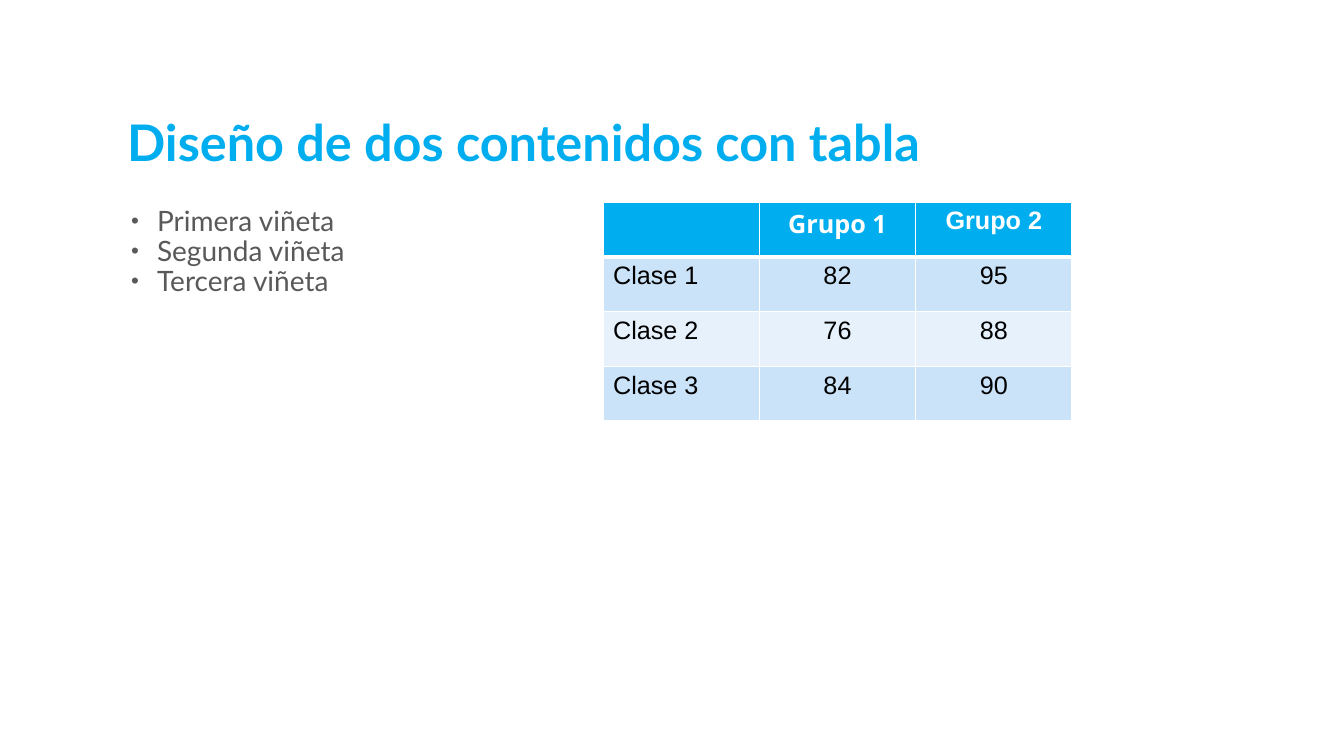
from lxml import etree
from pptx import Presentation
from pptx.dml.color import RGBColor
from pptx.enum.text import MSO_ANCHOR, MSO_AUTO_SIZE, PP_ALIGN
from pptx.oxml.ns import qn
from pptx.util import Emu, Pt

LEFT, CENTER = PP_ALIGN.LEFT, PP_ALIGN.CENTER
TOP, BOTTOM = MSO_ANCHOR.TOP, MSO_ANCHOR.BOTTOM
NO_FIT = MSO_AUTO_SIZE.NONE
EMU_PER_PIXEL = 914400 / 100.8
CYAN, GRAY, WHITE, BLACK = "00AEEF", "595959", "FFFFFF", "000000"
BANDS = ("CAE3F9", "E6F1FC")
THIN, THICK = 0.96, 3

TITLE_FONT = {"name": "Lato", "size": Pt(36), "bold": True}
LIST_FONT = {"name": "Lato", "size": Pt(20), "bold": False}
HEADER_FONT = {"name": "Arial", "size": Pt(18), "bold": True}
CELL_FONT = {**HEADER_FONT, "bold": False}

BULLETS = ("Primera viñeta", "Segunda viñeta", "Tercera viñeta")
SCORES = (
    ("", "Grupo 1", "Grupo 2"),
    ("Clase 1", "82", "95"),
    ("Clase 2", "76", "88"),
    ("Clase 3", "84", "90"),
)


def px(length):
    """Turn picture pixels into EMU."""
    return Emu(round(length * EMU_PER_PIXEL))


def color(value):
    """Turn a hex string into a colour."""
    return RGBColor.from_string(value)


def assign(target, values):
    """Set attributes from a dict of format values."""
    for name, value in values.items():
        setattr(target, name, value)


def add_xml(parent, tag, **attributes):
    """Append a DrawingML element and return it."""
    return etree.SubElement(parent, qn(tag), attributes)


class SlideBuilder:
    """Hold the style and the current slide."""

    def __init__(self, deck):
        """Add a title and content slide."""
        self.slide = deck.slides.add_slide(deck.slide_layouts[1])

    def add_text(self, para, text, font, ink, layout):
        """Put one formatted run into a paragraph."""
        assign(para, layout)
        span = para.add_run()
        span.text = text
        assign(span.font, font)
        span.font.color.rgb = color(ink)

    def place(self, box, area, anchor):
        """Move a placeholder and set up its text frame."""
        names = ("left", "top", "width", "height")
        assign(box, dict(zip(names, map(px, area))))
        frame = box.text_frame
        assign(frame, {"word_wrap": True, "auto_size": NO_FIT,
                       "vertical_anchor": anchor})
        return frame

    def title(self, text, area):
        """Fill the title placeholder."""
        frame = self.place(self.slide.shapes.title, area, BOTTOM)
        self.add_text(frame.paragraphs[0], text, TITLE_FONT, CYAN,
                      {"alignment": LEFT, "line_spacing": 0.8})

    def bullets(self, lines, area):
        """Fill the body placeholder with a bulleted list."""
        frame = self.place(self.slide.placeholders[1], area, TOP)
        layout = {"alignment": LEFT, "line_spacing": 0.9,
                  "space_before": Pt(0), "space_after": Pt(0)}
        for index, line in enumerate(lines):
            para = frame.add_paragraph() if index else frame.paragraphs[0]
            self.add_text(para, line, LIST_FONT, GRAY, layout)
            self.bullet(para)

    def bullet(self, para):
        """Give a paragraph a hanging round bullet."""
        props = para._p.get_or_add_pPr()
        props.set("marL", str(px(30)))
        props.set("indent", str(px(-26)))
        add_xml(add_xml(props, "a:buClr"), "a:srgbClr", val=GRAY)
        add_xml(props, "a:buSzPct", val="80000")
        add_xml(props, "a:buFont", typeface="Arial")
        add_xml(props, "a:buChar", char="•")

    def borders(self, cell, widths):
        """Draw the left, right, top and bottom borders of a cell."""
        props = cell._tc.get_or_add_tcPr()
        for index, (side, width) in enumerate(zip("LRTB", widths)):
            line = add_xml(props, f"a:ln{side}", w=str(Pt(width)))
            add_xml(add_xml(line, "a:solidFill"), "a:srgbClr", val=WHITE)
            props.insert(index, line)

    def table(self, rows, area):
        """Add a table with a header row and banded body rows."""
        table = self.slide.shapes.add_table(
            len(rows), len(rows[0]), *map(px, area)).table
        table.horz_banding = False
        for row, values in enumerate(rows):
            for column, text in enumerate(values):
                cell = table.cell(row, column)
                cell.fill.solid()
                fill = BANDS[(row - 1) % 2] if row else CYAN
                cell.fill.fore_color.rgb = color(fill)
                self.borders(cell, (THIN, THIN,
                                    THICK if row == 1 else THIN,
                                    THIN if row else THICK))
                if text:
                    self.add_text(cell.text_frame.paragraphs[0], text,
                                  CELL_FONT if row else HEADER_FONT,
                                  BLACK if row else WHITE,
                                  {"alignment": CENTER if column else LEFT})
        first_group = table.cell(0, 1).text_frame.paragraphs[0]
        first_group.runs[0].font.name = "Open Sans"


def main():
    """Build and save the slide."""
    deck = Presentation()
    assign(deck, {"slide_width": px(1344), "slide_height": px(756)})
    page = SlideBuilder(deck)
    page.title("Diseño de dos contenidos con tabla", (117, 58, 958, 118))
    page.bullets(BULLETS, (117, 202, 469, 462))
    page.table(SCORES, (603, 202, 469, 219))
    deck.save("out.pptx")


main()
